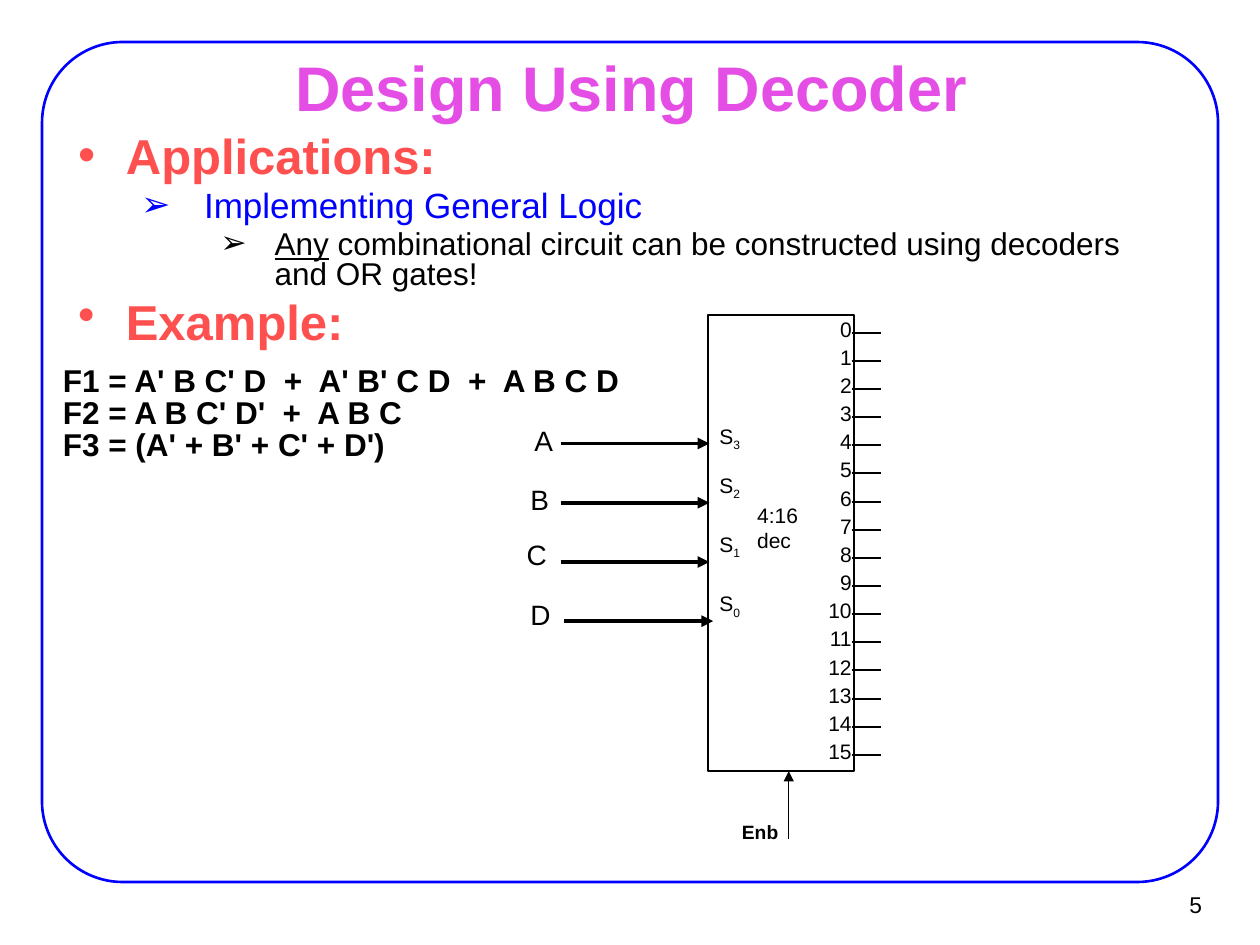
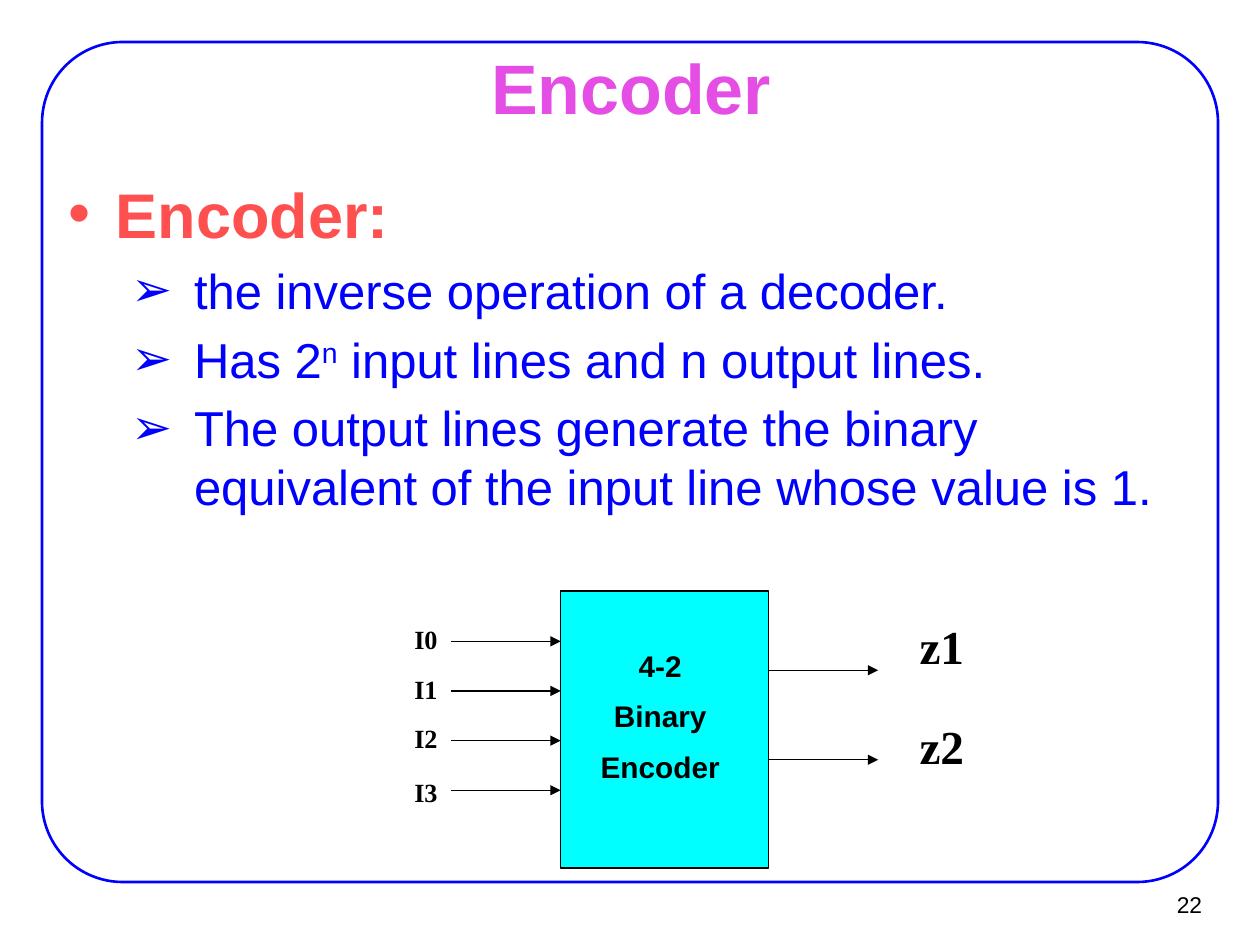
"""Build two slides on decoder and encoder circuits."""
from lxml.etree import SubElement
from pptx import Presentation
from pptx.dml.color import RGBColor
from pptx.enum.shapes import MSO_CONNECTOR, MSO_SHAPE
from pptx.enum.text import MSO_ANCHOR, MSO_AUTO_SIZE, PP_ALIGN
from pptx.oxml.ns import qn
from pptx.util import Inches, Pt

BLACK, BLUE, CORAL, PINK, CYAN = "000000", "0000FF", "FF5050", "E44EE4", "00FFFF"
SERIF = "Times New Roman"
WIDTH, HEIGHT = 10, 7.5
MARGIN = WIDTH / 30
BODY_INSET = (0.11, 0.06)
TITLE_AT = (0.76, 0.44, 8.5, 0.49)
NUMBER_AT = (9.02, 6.99, 0.61, 0.37)

LEVELS = [
    dict(bullet="•", indent=(0.38, -0.38), color=CORAL, bold=True),
    dict(bullet="➢", indent=(1, -0.5), color=BLUE),
    dict(bullet="➢", indent=(1.56, -0.43), color=BLACK),
]

DECODER = dict(
    title="Design Using Decoder", title_size=36, number="5",
    at=(0.51, 1.03, 8.5, 1.46), sizes=(28, 20, 18), line=0.8,
    items=[
        (0, ["Applications:"]),
        (1, ["Implementing General Logic"]),
        (2, [("Any", "underline"),
             " combinational circuit can be constructed using decoders and OR gates!"]),
    ],
)
ENCODER = dict(
    title="Encoder", title_size=40, number="22",
    at=(0.43, 1.33, 9.21, 5.08), sizes=(36, 28), line=None,
    items=[
        (0, ["Encoder:"]),
        (1, ["the inverse operation of a decoder."]),
        (1, ["Has 2", ("n", 30), " input lines and n output lines."]),
        (1, ["The output lines generate the binary equivalent of the input line whose value is 1."]),
    ],
)

EQUATIONS = [
    "F1 = A' B C' D  +  A' B' C D  +  A B C D",
    "F2 = A B C' D'  +  A B C",
    "F3 = (A' + B' + C' + D')",
]
DECODER_BOX = (5.62, 2.5, 1.16, 3.62)
SELECTS = [
    ("A", 4.24, 3.36, "3", 3.36, 4.45),
    ("B", 4.21, 3.83, "2", 3.75, 4.45),
    ("C", 4.18, 4.27, "1", 4.22, 4.45),
    ("D", 4.21, 4.74, "0", 4.69, 4.48),
]
ENCODER_BOX = (4.45, 4.69, 1.65, 2.2)
ENCODER_NAME = ["4-2", "Binary", "Encoder"]
ENCODER_INPUTS = [("I0", 4.9), ("I1", 5.29), ("I2", 5.68), ("I3", 6.11)]
ENCODER_OUTPUTS = [("z1", 4.85, 5.32), ("z2", 5.64, 6.03)]


def rgb(color):
    return RGBColor.from_string(color)


def box(at):
    return [Inches(v) for v in at]


def write(p, runs, size=12, color=BLACK, bold=False, font="Arial", align=None,
          line=None, before=0, bullet=None, indent=None):
    p.alignment = align
    p.line_spacing = line
    p.space_before = Pt(before)
    for part in [runs] if isinstance(runs, str) else runs:
        words, mark = (part, None) if isinstance(part, str) else part
        r = p.add_run()
        r.text = words
        r.font.name, r.font.size, r.font.bold = font, Pt(size), bold
        r.font.color.rgb = rgb(color)
        if mark == "underline":
            r.font.underline = True
        elif mark:
            r.font._element.set("baseline", str(mark * 1000))
    if bullet:
        pPr = p._p.get_or_add_pPr()
        pPr.set("marL", str(Inches(indent[0])))
        pPr.set("indent", str(Inches(indent[1])))
        SubElement(pPr, qn("a:buChar")).set("char", bullet)


def frame_text(sp, inset, anchor=MSO_ANCHOR.TOP, wrap=True):
    tf = sp.text_frame
    tf.word_wrap, tf.auto_size, tf.vertical_anchor = wrap, MSO_AUTO_SIZE.NONE, anchor
    tf.margin_left = tf.margin_right = Inches(inset[0])
    tf.margin_top = tf.margin_bottom = Inches(inset[1])
    return tf


def add_text(s, at, paras, inset=(0, 0), anchor=MSO_ANCHOR.TOP, wrap=True, gap=0, **fmt):
    tf = frame_text(s.shapes.add_textbox(*box(at)), inset, anchor, wrap)
    for i, runs in enumerate(paras):
        p = tf.add_paragraph() if i else tf.paragraphs[0]
        write(p, runs, before=gap if i else 0, **fmt)


def add_box(s, at, kind=MSO_SHAPE.RECTANGLE, fill=None, color=BLACK, weight=0.75):
    sp = s.shapes.add_shape(kind, *box(at))
    sp.shadow.inherit = False
    if fill:
        sp.fill.solid()
        sp.fill.fore_color.rgb = rgb(fill)
    else:
        sp.fill.background()
    sp.line.color.rgb, sp.line.width = rgb(color), Pt(weight)
    return sp


def add_line(s, x1, y1, x2, y2, weight=0.75, arrow=True):
    cxn = s.shapes.add_connector(MSO_CONNECTOR.STRAIGHT, *box((x1, y1, x2, y2)))
    cxn.line.color.rgb, cxn.line.width = rgb(BLACK), Pt(weight)
    spPr = cxn._element.spPr
    if arrow:
        SubElement(spPr.find(qn("a:ln")), qn("a:tailEnd")).set("type", "triangle")
    SubElement(spPr, qn("a:effectLst"))


def place(sp, at):
    sp.left, sp.top, sp.width, sp.height = box(at)


def add_slide(prs, title, title_size, number, at, sizes, line, items):
    s = prs.slides.add_slide(prs.slide_layouts[1])
    frame = add_box(s, (MARGIN, MARGIN, WIDTH - 2 * MARGIN, HEIGHT - 2.5 * MARGIN),
                    MSO_SHAPE.ROUNDED_RECTANGLE, color=BLUE, weight=1.5)
    frame.adjustments[0] = 0.096
    add_text(s, NUMBER_AT, [number], inset=(0.09, 0.04), anchor=MSO_ANCHOR.MIDDLE,
             size=13, align=PP_ALIGN.RIGHT)
    place(s.shapes.title, TITLE_AT)
    tf = frame_text(s.shapes.title, BODY_INSET, MSO_ANCHOR.MIDDLE)
    write(tf.paragraphs[0], title, size=title_size, color=PINK, bold=True,
          align=PP_ALIGN.CENTER)
    body = s.placeholders[1]
    place(body, at)
    tf = frame_text(body, BODY_INSET)
    for i, (level, runs) in enumerate(items):
        p = tf.add_paragraph() if i else tf.paragraphs[0]
        p.level = level
        write(p, runs, size=sizes[level], line=line,
              before=0.2 * sizes[level] if i else 0, **LEVELS[level])
    return s


def draw_decoder(s):
    add_text(s, (0.43, 2.88, 4.8, 0.82), EQUATIONS, inset=(0.07, 0.03),
             size=18, bold=True, line=0.85)
    add_text(s, (0.51, 2.25, 4.5, 0.6), ["Example:"], inset=BODY_INSET, size=28, **LEVELS[0])
    left, top, width, height = DECODER_BOX
    right, bottom = left + width, top + height
    add_box(s, DECODER_BOX, weight=1.13)
    for i, (name, x, y, index, select_y, start) in enumerate(SELECTS):
        add_text(s, (x, y, 0.22, 0.27), [name], size=16)
        add_text(s, (5.71, select_y, 0.47, 0.2), [["S", (index, -25)]])
        wire_y = 3.52 + 0.47 * i
        add_line(s, start, wire_y, start + 1.18, wire_y, weight=2.25)
    pitch = height / 16.2
    for i in range(16):
        y = top + 0.01 + i * pitch
        add_text(s, (right - 0.32, y, 0.3, 0.2), [str(i)], align=PP_ALIGN.RIGHT)
        add_line(s, right - 0.02, y + 0.13, right + 0.21, y + 0.13, weight=1.13, arrow=False)
    add_text(s, (6.01, 3.99, 0.5, 0.4), ["4:16", "dec"])
    add_text(s, (5.79, 6.46, 0.63, 0.28), ["Enb"], inset=(0.1, 0.05), size=11, bold=True)
    add_line(s, 6.26, 6.66, 6.26, bottom)


def draw_encoder(s):
    left, top, width, height = ENCODER_BOX
    right, lead = left + width, 0.87
    add_box(s, ENCODER_BOX, fill=CYAN)
    label = dict(inset=(0.1, 0.05), bold=True)
    for i, (name, y) in enumerate(ENCODER_INPUTS):
        wire_y = 5.09 + 0.394 * i
        add_line(s, left - lead, wire_y, left, wire_y)
        add_text(s, (3.19, y, 0.47, 0.35), [name], size=15, font=SERIF, **label)
    for name, y, wire_y in ENCODER_OUTPUTS:
        add_line(s, right, wire_y, right + lead, wire_y)
        add_text(s, (7.2, y, 0.63, 0.55), [name], size=27, font=SERIF, **label)
    add_text(s, (4.53, 5.09, 1.42, 1.23), ENCODER_NAME, size=17, gap=8.5,
             align=PP_ALIGN.CENTER, **label)


def main():
    prs = Presentation()
    prs.slide_width, prs.slide_height = Inches(WIDTH), Inches(HEIGHT)
    draw_decoder(add_slide(prs, **DECODER))
    draw_encoder(add_slide(prs, **ENCODER))
    prs.save("out.pptx")


if __name__ == "__main__":
    main()
